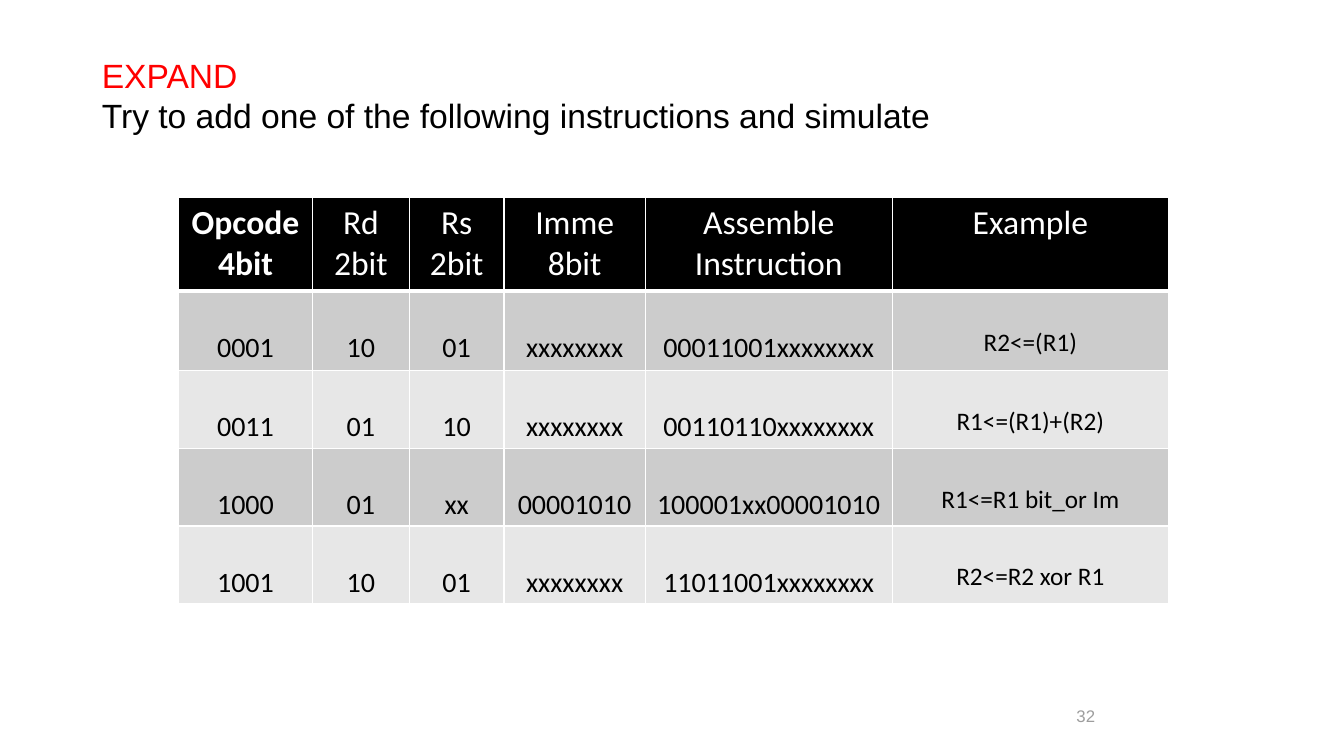
"""Build a slide with a table of processor instructions to add and simulate."""
import pptx
import pptx.dml.color
import pptx.enum.text
import pptx.oxml.ns
import pptx.util
from lxml import etree
from pptx.util import Inches

BLACK = pptx.dml.color.RGBColor(0x00, 0x00, 0x00)
WHITE = pptx.dml.color.RGBColor(0xFF, 0xFF, 0xFF)
RED = pptx.dml.color.RGBColor(0xFF, 0x00, 0x00)
NUMBER_GRAY = pptx.dml.color.RGBColor(0x9D, 0x9D, 0x9D)
DARK_BAND = pptx.dml.color.RGBColor(0xCC, 0xCC, 0xCC)
LIGHT_BAND = pptx.dml.color.RGBColor(0xE7, 0xE7, 0xE7)

COLUMN_WIDTHS = [1.33, 0.96, 0.94, 1.4, 2.45, 2.74]
ROW_HEIGHTS = [0.93, 0.79, 0.77, 0.77, 0.77]
HEADER = ["Opcode\n4bit", "Rd\n2bit", "Rs\n2bit", "Imme\n8bit",
          "Assemble Instruction", "Example"]
INSTRUCTIONS = [
    ["0001", "10", "01", "xxxxxxxx", "00011001xxxxxxxx", "R2<=(R1)"],
    ["0011", "01", "10", "xxxxxxxx", "00110110xxxxxxxx", "R1<=(R1)+(R2)"],
    ["1000", "01", "xx", "00001010", "100001xx00001010", "R1<=R1 bit_or Im"],
    ["1001", "10", "01", "xxxxxxxx", "11011001xxxxxxxx", "R2<=R2 xor R1"],
]


def format_paragraph(paragraph, font_name, size, color, alignment, bold=False):
    paragraph.alignment = alignment
    for run in paragraph.runs:
        run.font.name = font_name
        run.font.size = pptx.util.Pt(size)
        run.font.color.rgb = color
        run.font.bold = bold


def add_title(slide):
    title = slide.shapes.title
    title.left, title.top = Inches(0.91), Inches(0.49)
    title.width, title.height = Inches(10.95), Inches(1.51)
    frame = title.text_frame
    frame.text = "EXPAND\nTry to add one of the following instructions and simulate"
    frame.word_wrap = True
    frame.auto_size = pptx.enum.text.MSO_AUTO_SIZE.NONE
    frame.vertical_anchor = pptx.enum.text.MSO_ANCHOR.TOP
    for paragraph, color in zip(frame.paragraphs, [RED, BLACK]):
        format_paragraph(paragraph, "Arial", 24, color, pptx.enum.text.PP_ALIGN.LEFT)


def set_borders(cell, bottom_width):
    properties = cell._tc.get_or_add_tcPr()
    for side, width in [("lnL", 1), ("lnR", 1), ("lnT", 1), ("lnB", bottom_width)]:
        line = etree.SubElement(properties, pptx.oxml.ns.qn(f"a:{side}"),
                                w=str(pptx.util.Pt(width)))
        fill = etree.SubElement(line, pptx.oxml.ns.qn("a:solidFill"))
        etree.SubElement(fill, pptx.oxml.ns.qn("a:srgbClr"), val=str(WHITE))


def fill_cell(cell, text, background, size, color, bold, line_spacing, bottom_width):
    set_borders(cell, bottom_width)
    cell.fill.solid()
    cell.fill.fore_color.rgb = background
    cell.text_frame.text = text
    for paragraph in cell.text_frame.paragraphs:
        paragraph.line_spacing = line_spacing
        format_paragraph(paragraph, "Calibri", size, color,
                         pptx.enum.text.PP_ALIGN.CENTER, bold)


def add_instruction_table(slide):
    table = slide.shapes.add_table(
        len(ROW_HEIGHTS), len(COLUMN_WIDTHS), Inches(1.77), Inches(1.96),
        Inches(sum(COLUMN_WIDTHS)), Inches(sum(ROW_HEIGHTS))).table
    for column, width in zip(table.columns, COLUMN_WIDTHS):
        column.width = Inches(width)
    for row, height in zip(table.rows, ROW_HEIGHTS):
        row.height = Inches(height)
    for index, text in enumerate(HEADER):
        fill_cell(table.cell(0, index), text, BLACK, 24, WHITE, index == 0, 1.0, 3)
    for row_index, instruction in enumerate(INSTRUCTIONS, start=1):
        background = DARK_BAND if row_index % 2 else LIGHT_BAND
        for index, text in enumerate(instruction):
            size = 18 if index == len(HEADER) - 1 else 20
            fill_cell(table.cell(row_index, index), text, background, size,
                      BLACK, False, 2.0, 1)


def add_slide_number(slide, number):
    box = slide.shapes.add_textbox(Inches(8.71), Inches(6.9), Inches(2.25), Inches(0.4))
    frame = box.text_frame
    frame.word_wrap = True
    frame.vertical_anchor = pptx.enum.text.MSO_ANCHOR.MIDDLE
    frame.text = number
    format_paragraph(frame.paragraphs[0], "Arial", 12, NUMBER_GRAY,
                     pptx.enum.text.PP_ALIGN.RIGHT)


def main():
    presentation = pptx.Presentation()
    presentation.slide_width = Inches(13.33)
    presentation.slide_height = Inches(7.5)
    slide = presentation.slides.add_slide(presentation.slide_layouts[5])
    add_slide_number(slide, "32")
    add_instruction_table(slide)
    add_title(slide)
    presentation.save("out.pptx")


if __name__ == "__main__":
    main()
